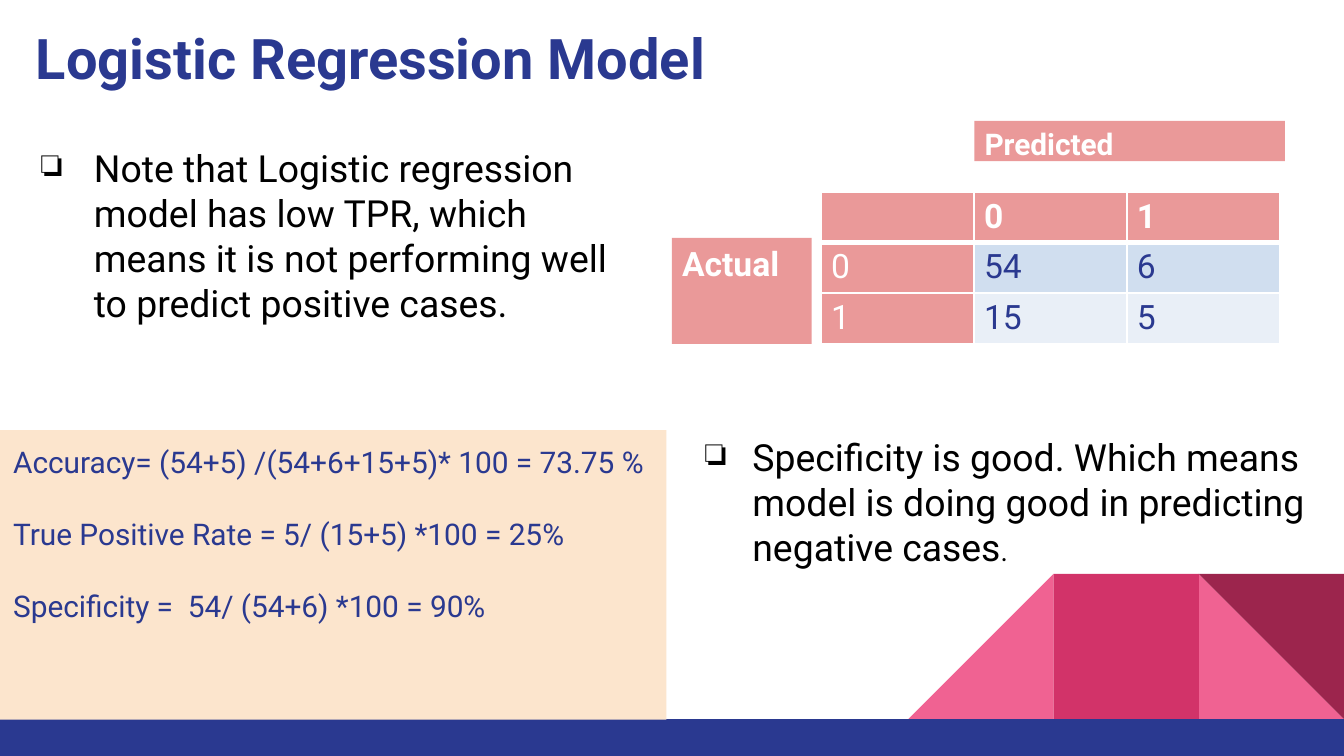
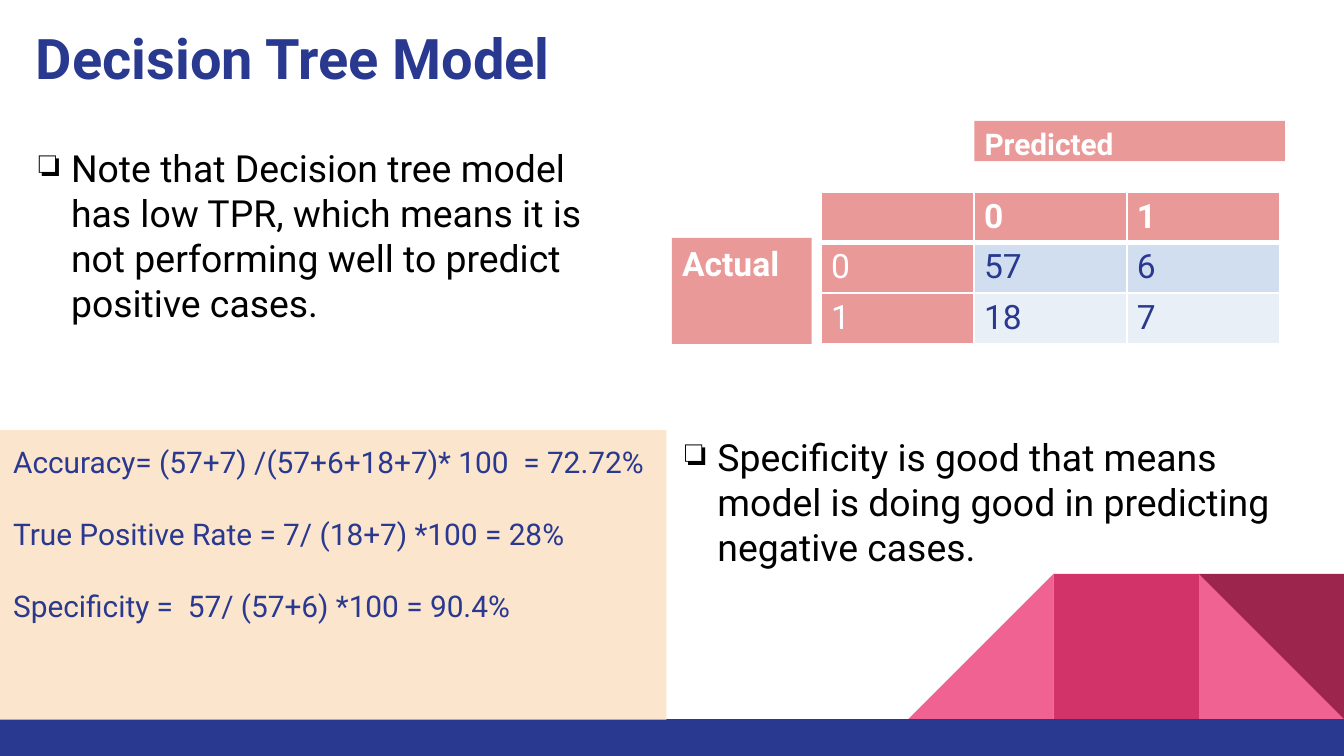
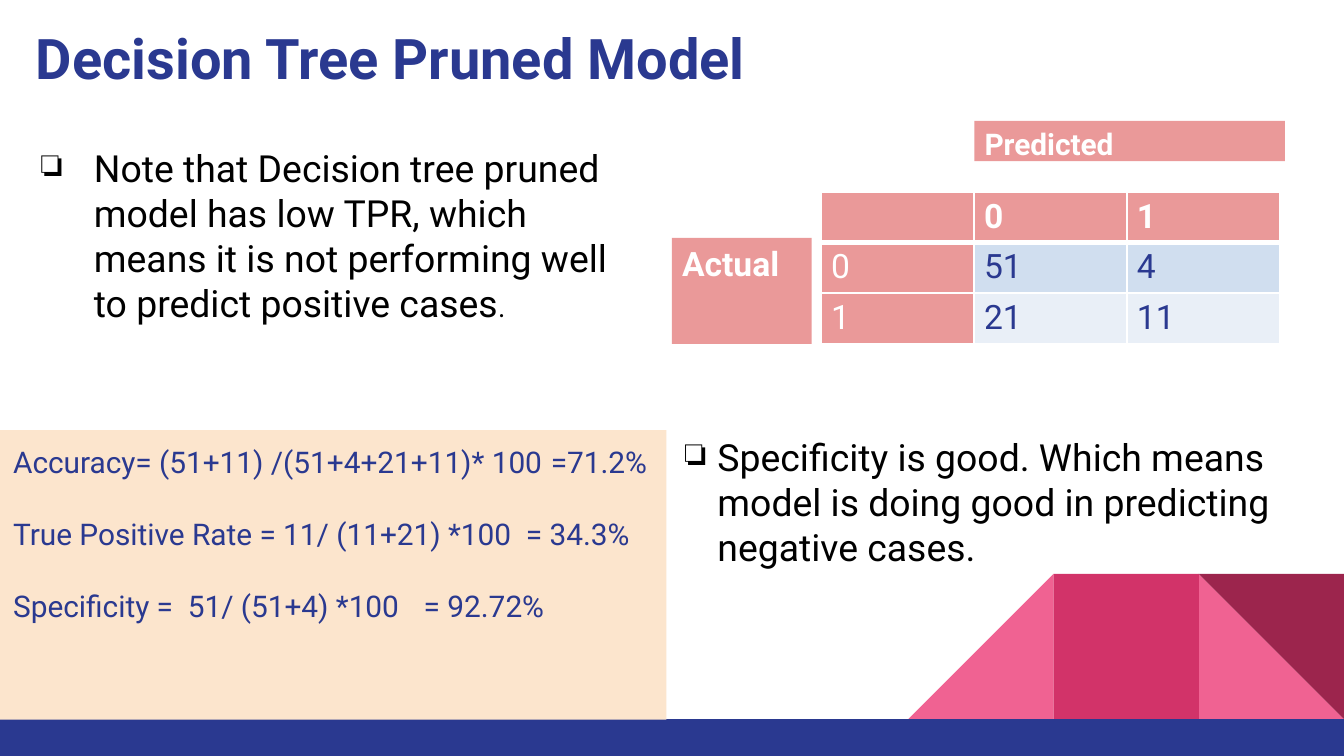
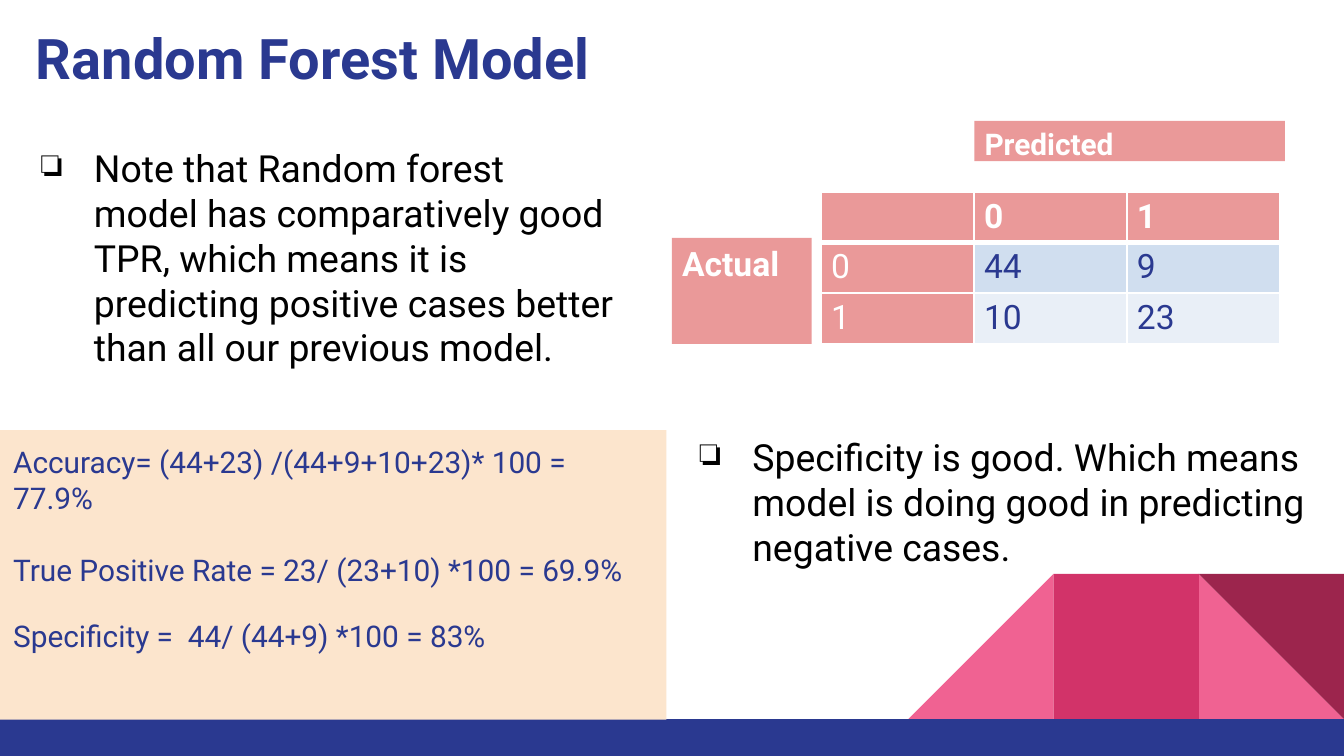
"""Build four slides comparing classification models by confusion matrix."""

import pptx
import pptx.dml.color
import pptx.enum.shapes
import pptx.enum.text
import pptx.oxml
import pptx.oxml.ns
import pptx.util

Pt = pptx.util.Pt
RGBColor = pptx.dml.color.RGBColor
Shape = pptx.enum.shapes.MSO_SHAPE

NAVY = RGBColor(0x2A, 0x39, 0x90)
WHITE = RGBColor(0xFF, 0xFF, 0xFF)
BLACK = RGBColor(0x00, 0x00, 0x00)
PINK = RGBColor(0xF0, 0x62, 0x92)
ROSE = RGBColor(0xD2, 0x33, 0x69)
WINE = RGBColor(0x9C, 0x25, 0x4D)
SALMON = RGBColor(0xEA, 0x99, 0x99)
PEACH = RGBColor(0xFC, 0xE5, 0xCD)
BLUE_BANDS = (RGBColor(0xD0, 0xDE, 0xEF), RGBColor(0xE9, 0xEF, 0xF7))

SLIDE_WIDTH, SLIDE_HEIGHT = 720, 405
FOOTER_TOP = 385.2
TILE = 77.8
COLUMN_WIDTH, ROW_HEIGHT = 81.9, 21.6

NOTE_BOX = (7.2, 70.6, 330.5, 95)
SHIFTED_NOTE_BOX = (13.7, 70.6, 330.5, 95)
SPECIFICITY_BOX = (360, 201.6, 357.1, 236.2)
WIDE_BULLET = (36, -28.1)
MEDIUM_BULLET = (36, -25.2)
TIGHT_BULLET = (17.3, -20.2)
SPECIFICITY_IS_GOOD = (
    "Specificity is good. Which means model is doing good in predicting negative cases"
)

MODELS = [
    {
        "title": "Logistic Regression Model",
        "counts": [(54, 6), (15, 5)],
        "metrics": [
            "Accuracy= (54+5) /(54+6+15+5)* 100 = 73.75 %",
            "True Positive Rate = 5/ (15+5) *100 = 25%",
            "Specificity =  54/ (54+6) *100 = 90%",
        ],
        "note": "Note that Logistic regression model has low TPR, which means it is "
                "not performing well to predict positive cases.",
        "specificity": SPECIFICITY_IS_GOOD,
        "specificity_bullet": MEDIUM_BULLET,
        "specificity_small_stop": True,
    },
    {
        "title": "Decision Tree Model",
        "counts": [(57, 6), (18, 7)],
        "metrics": [
            "Accuracy= (57+7) /(57+6+18+7)* 100  = 72.72%",
            "True Positive Rate = 7/ (18+7) *100 = 28%",
            "Specificity =  57/ (57+6) *100 = 90.4%",
        ],
        "note": "Note that Decision tree model has low TPR, which means it is not "
                "performing well to predict positive cases.",
        "note_box": SHIFTED_NOTE_BOX,
        "note_bullet": TIGHT_BULLET,
        "specificity": "Specificity is good that means model is doing good in "
                       "predicting negative cases.",
        "specificity_bullet": TIGHT_BULLET,
    },
    {
        "title": "Decision Tree Pruned Model",
        "counts": [(51, 4), (21, 11)],
        "metrics": [
            "Accuracy= (51+11) /(51+4+21+11)* 100 \t=71.2%",
            "True Positive Rate = 11/ (11+21) *100  = 34.3%",
            "Specificity =  51/ (51+4) *100\t = 92.72%",
        ],
        "note": "Note that Decision tree pruned model has low TPR, which means it is "
                "not performing well to predict positive cases",
        "note_small_stop": True,
        "specificity": SPECIFICITY_IS_GOOD + ".",
        "specificity_bullet": TIGHT_BULLET,
    },
    {
        "title": "Random Forest Model",
        "counts": [(44, 9), (10, 23)],
        "metrics": [
            "Accuracy= (44+23) /(44+9+10+23)* 100 = 77.9%",
            "True Positive Rate = 23/ (23+10) *100 = 69.9%",
            "Specificity =  44/ (44+9) *100 = 83%",
        ],
        "last_metric_gap": 16.6,
        "note": "Note that Random forest model has comparatively good TPR, which means "
                "it is predicting positive cases better than all our previous model.",
        "specificity": SPECIFICITY_IS_GOOD + ".",
        "specificity_bullet": WIDE_BULLET,
    },
]


def points(values):
    return [Pt(value) for value in values]


def write_text(paragraph, text, size=18, color=NAVY, bold=False, font="Roboto"):
    run = paragraph.add_run()
    run.text = text
    run.font.name = font
    run.font.size = Pt(size)
    run.font.bold = bold
    run.font.color.rgb = color


def set_frame(shape, side=7.2, top=7.2, bottom=7.2):
    frame = shape.text_frame
    frame.word_wrap = True
    frame.vertical_anchor = pptx.enum.text.MSO_ANCHOR.TOP
    frame.margin_left = frame.margin_right = Pt(side)
    frame.margin_top, frame.margin_bottom = Pt(top), Pt(bottom)
    frame.paragraphs[0].alignment = pptx.enum.text.PP_ALIGN.LEFT
    return frame


def add_block(shapes, kind, box, color):
    shape = shapes.add_shape(kind, *points(box))
    shape.shadow.inherit = False
    shape.fill.solid()
    shape.fill.fore_color.rgb = color
    shape.line.fill.background()
    return shape


def add_decoration(slide):
    shapes = slide.shapes.add_group_shape().shapes
    top = FOOTER_TOP - TILE
    left, middle, right = [
        (SLIDE_WIDTH - count * TILE, top, TILE, TILE) for count in (3, 2, 1)
    ]
    add_block(shapes, Shape.RIGHT_TRIANGLE, right, PINK)
    mirrored = add_block(shapes, Shape.RIGHT_TRIANGLE, left, PINK)
    mirrored.element.spPr.find(pptx.oxml.ns.qn("a:xfrm")).set("flipH", "1")
    add_block(shapes, Shape.RECTANGLE, middle, ROSE)
    add_block(shapes, Shape.RIGHT_TRIANGLE, right, WINE).rotation = 180
    footer = (0, FOOTER_TOP, SLIDE_WIDTH, SLIDE_HEIGHT - FOOTER_TOP)
    add_block(shapes, Shape.RECTANGLE, footer, NAVY)


def add_title(slide, text):
    box = slide.shapes.add_textbox(*points((12.2, 0, 720, 47.5)))
    paragraph = set_frame(box).paragraphs[0]
    paragraph.line_spacing = 1.15
    paragraph.space_after = Pt(16)
    write_text(paragraph, text, size=30, bold=True)


def add_label(slide, text, box, size):
    shape = add_block(slide.shapes, Shape.RECTANGLE, box, SALMON)
    paragraph = set_frame(shape, side=5.4, top=2.7, bottom=2.7).paragraphs[0]
    write_text(paragraph, text, size=size, color=WHITE, bold=True)


def set_borders(cell, top=1, bottom=1):
    properties = cell._tc.get_or_add_tcPr()
    for side, width in (("L", 1), ("R", 1), ("T", top), ("B", bottom)):
        properties.append(pptx.oxml.parse_xml(
            f'<a:ln{side} {pptx.oxml.ns.nsdecls("a")} w="{Pt(width)}">'
            f'<a:solidFill><a:srgbClr val="{WHITE}"/></a:solidFill></a:ln{side}>'
        ))


def add_confusion_matrix(slide, counts):
    box = (439.9, 103, 3 * COLUMN_WIDTH, 3 * ROW_HEIGHT)
    table = slide.shapes.add_table(3, 3, *points(box)).table
    table.horz_banding = False
    for row in table.rows:
        row.height = Pt(ROW_HEIGHT)
    for column in table.columns:
        column.width = Pt(COLUMN_WIDTH)
    rows = [("", 0, 1)] + [(index, *pair) for index, pair in enumerate(counts)]
    for row, values in enumerate(rows):
        for column, value in enumerate(values):
            text = str(value)
            is_header = row == 0 or column == 0
            cell = table.cell(row, column)
            cell.margin_left = cell.margin_right = Pt(5.4)
            cell.margin_top = cell.margin_bottom = Pt(2.7 if text else 0)
            set_borders(cell, top=3 if row == 1 else 1, bottom=3 if row == 0 else 1)
            cell.fill.solid()
            cell.fill.fore_color.rgb = SALMON if is_header else BLUE_BANDS[row - 1]
            if text:
                write_text(cell.text_frame.paragraphs[0], text,
                           color=WHITE if is_header else NAVY, bold=row == 0)


def add_metrics(slide, lines, last_gap):
    shape = add_block(slide.shapes, Shape.RECTANGLE, (0, 230.4, 357.1, 155.2), PEACH)
    frame = set_frame(shape)
    for index, line in enumerate(lines):
        paragraph = frame.add_paragraph() if index else frame.paragraphs[0]
        paragraph.alignment = pptx.enum.text.PP_ALIGN.LEFT
        if index:
            paragraph.space_before = Pt(last_gap if index == len(lines) - 1 else 19.3)
        write_text(paragraph, line, size=16)


def add_bullet(slide, text, box, bullet, top=7.2, small_stop=False):
    shape = slide.shapes.add_textbox(*points(box))
    paragraph = set_frame(shape, top=top).paragraphs[0]
    margin, indent = points(bullet)
    properties = paragraph._p.get_or_add_pPr()
    properties.set("marL", str(margin))
    properties.set("indent", str(indent))
    namespace = pptx.oxml.ns.nsdecls("a")
    properties.append(pptx.oxml.parse_xml(
        f'<a:buClr {namespace}><a:srgbClr val="{BLACK}"/></a:buClr>'
    ))
    properties.append(pptx.oxml.parse_xml(f'<a:buChar {namespace} char="❏"/>'))
    write_text(paragraph, text, size=20, color=BLACK)
    if small_stop:
        write_text(paragraph, ".", size=14, color=BLACK, font="Calibri")


def add_model_slide(presentation, model):
    slide = presentation.slides.add_slide(presentation.slide_layouts[6])
    add_decoration(slide)
    add_title(slide, model["title"])
    add_confusion_matrix(slide, model["counts"])
    add_label(slide, "Actual", (360, 127.4, 74.9, 56.9), size=18)
    add_label(slide, "Predicted", (522, 64.8, 166.3, 21.6), size=16)
    add_metrics(slide, model["metrics"], model.get("last_metric_gap", 19.3))
    add_bullet(slide, model["note"], model.get("note_box", NOTE_BOX),
               model.get("note_bullet", WIDE_BULLET),
               small_stop=model.get("note_small_stop", False))
    add_bullet(slide, model["specificity"], SPECIFICITY_BOX,
               model["specificity_bullet"], top=31.2,
               small_stop=model.get("specificity_small_stop", False))


def main():
    presentation = pptx.Presentation()
    presentation.slide_width = Pt(SLIDE_WIDTH)
    presentation.slide_height = Pt(SLIDE_HEIGHT)
    for model in MODELS:
        add_model_slide(presentation, model)
    presentation.save("out.pptx")


if __name__ == "__main__":
    main()
